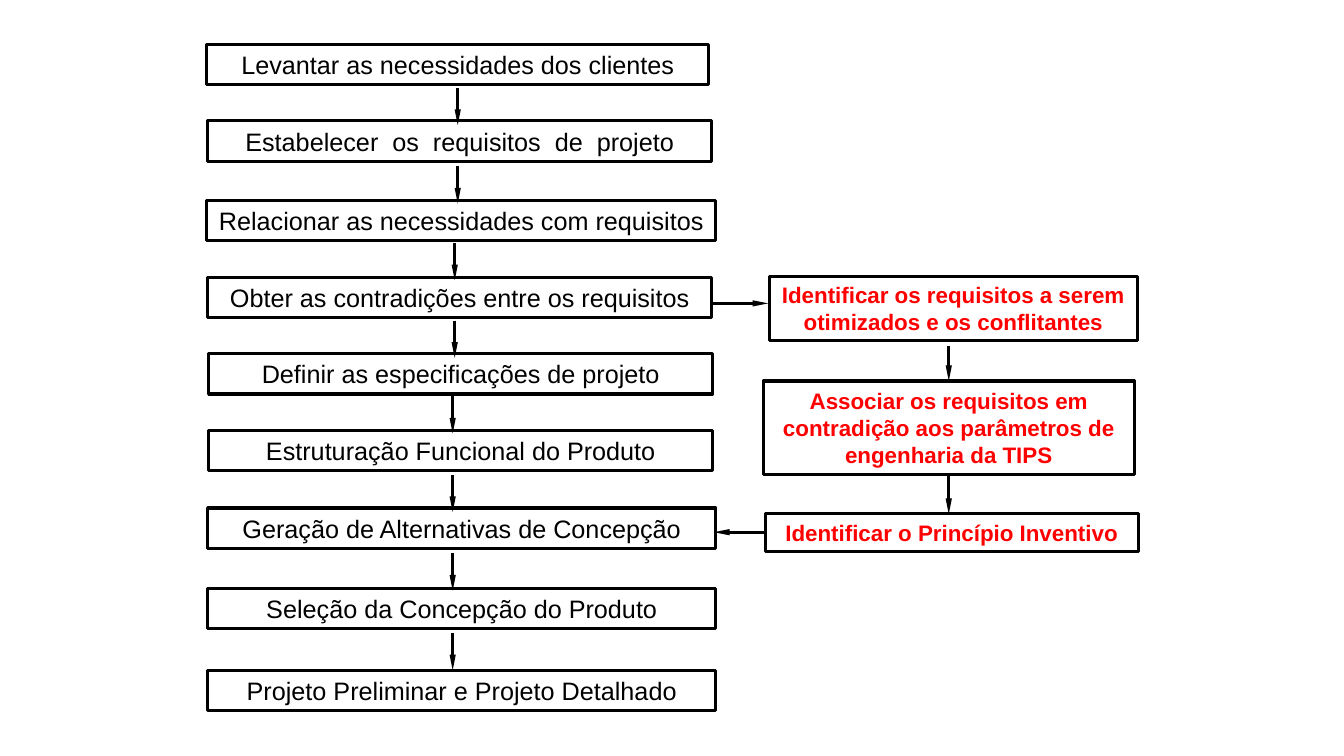
"""Builds the flowchart of product design steps with its contradiction branch."""
from dataclasses import dataclass

from lxml import etree
from pptx import Presentation
from pptx.dml.color import RGBColor
from pptx.enum import shapes, text
from pptx.oxml import ns
from pptx.util import Inches, Pt

MAIN_STEPS = [
    ("Levantar as necessidades dos clientes", 2.05, 0.44, 4.98),
    ("Estabelecer  os  requisitos  de  projeto", 2.06, 1.2, 5),
    ("Relacionar as necessidades com requisitos", 2.05, 1.99, 5.05),
    ("Obter as contradições entre os requisitos", 2.06, 2.75, 5),
    ("Definir as especificações de projeto", 2.07, 3.51, 5),
    ("Estruturação Funcional do Produto", 2.07, 4.27, 5),
    ("Geração de Alternativas de Concepção", 2.06, 5.04, 5.04),
    ("Seleção da Concepção do Produto", 2.06, 5.84, 5.04),
    ("Projeto Preliminar e Projeto Detalhado", 2.06, 6.65, 5.04),
]
BRANCH_STEPS = [
    ("Identificar os requisitos a serem otimizados e os conflitantes", 7.63, 2.74, 3.65, 0.64),
    ("Associar os requisitos em contradição aos parâmetros de engenharia da TIPS",
     7.57, 3.78, 3.68, 0.93),
    ("Identificar o Princípio Inventivo", 7.59, 5.09, 3.7, 0.38),
]
MAIN_ARROWS = [(4.54, 0.87), (4.54, 1.65), (4.51, 2.41), (4.51, 3.18),
               (4.49, 3.93), (4.49, 4.71), (4.49, 5.49), (4.49, 6.28)]
BRANCH_X, BRANCH_ARROW_TOPS = 9.41, (3.43, 4.73)
TO_BRANCH = (7.04, 3.01, 7.62, 3.01)
FROM_BRANCH = (7.59, 5.28, 7.08, 5.28)
STEP_HEIGHT, ARROW_LENGTH = 0.4, 0.37
TOP, LEFT, BOTTOM = 0, 1, 2


@dataclass(frozen=True)
class Theme:
    """Colours, font and sizes of the flowchart."""
    ink: RGBColor = RGBColor(0, 0, 0)
    accent: RGBColor = RGBColor(255, 0, 0)
    font: str = "Arial"
    main_size: int = 18
    branch_size: int = 16
    line_width: float = 2.25


THEME = Theme()
MAIN_FONT = {"name": THEME.font, "size": Pt(THEME.main_size), "bold": False}
BRANCH_FONT = {"name": THEME.font, "size": Pt(THEME.branch_size), "bold": True}


def set_line(line):
    """Gives a line its colour and width."""
    line.color.rgb = THEME.ink
    line.width = Pt(THEME.line_width)


def add_step(slide, label, bounds, font_format, color, wrap):
    """Adds an outlined step with centred text."""
    shape = slide.shapes.add_shape(shapes.MSO_SHAPE.RECTANGLE, *map(Inches, bounds))
    shape.shadow.inherit = False
    shape.fill.background()
    set_line(shape.line)
    frame = shape.text_frame
    frame.word_wrap = wrap
    frame.auto_size = text.MSO_AUTO_SIZE.NONE
    frame.vertical_anchor = text.MSO_ANCHOR.MIDDLE
    paragraph = frame.paragraphs[0]
    paragraph.alignment = text.PP_ALIGN.CENTER
    run = paragraph.add_run()
    run.text = label
    for name, value in font_format.items():
        setattr(run.font, name, value)
    run.font.color.rgb = color
    return shape


def add_arrow(slide, x1, y1, x2, y2):
    """Adds a straight arrow with a long, narrow head."""
    arrow = slide.shapes.add_connector(
        shapes.MSO_CONNECTOR.STRAIGHT, *map(Inches, (x1, y1, x2, y2)))
    set_line(arrow.line)
    properties = arrow._element.spPr
    etree.SubElement(properties.find(ns.qn("a:ln")), ns.qn("a:tailEnd"),
                     type="triangle", w="sm", len="lg")
    etree.SubElement(properties, ns.qn("a:effectLst"))
    return arrow


def main():
    """Draws both columns and saves the presentation."""
    presentation = Presentation()
    presentation.slide_width, presentation.slide_height = Inches(13.33), Inches(7.5)
    slide = presentation.slides.add_slide(presentation.slide_layouts[6])

    for label, left, top, width in MAIN_STEPS:
        add_step(slide, label, (left, top, width, STEP_HEIGHT), MAIN_FONT, THEME.ink, False)
    _, parameters, principle = [
        add_step(slide, label, bounds, BRANCH_FONT, THEME.accent, True)
        for label, *bounds in BRANCH_STEPS]

    down_arrows = MAIN_ARROWS + [(BRANCH_X, top) for top in BRANCH_ARROW_TOPS]
    *_, into_parameters, out_of_parameters = [
        add_arrow(slide, x, top, x, top + ARROW_LENGTH) for x, top in down_arrows]
    into_parameters.end_connect(parameters, TOP)
    out_of_parameters.begin_connect(parameters, BOTTOM)
    add_arrow(slide, *TO_BRANCH)
    add_arrow(slide, *FROM_BRANCH).begin_connect(principle, LEFT)

    presentation.save("out.pptx")


if __name__ == "__main__":
    main()
